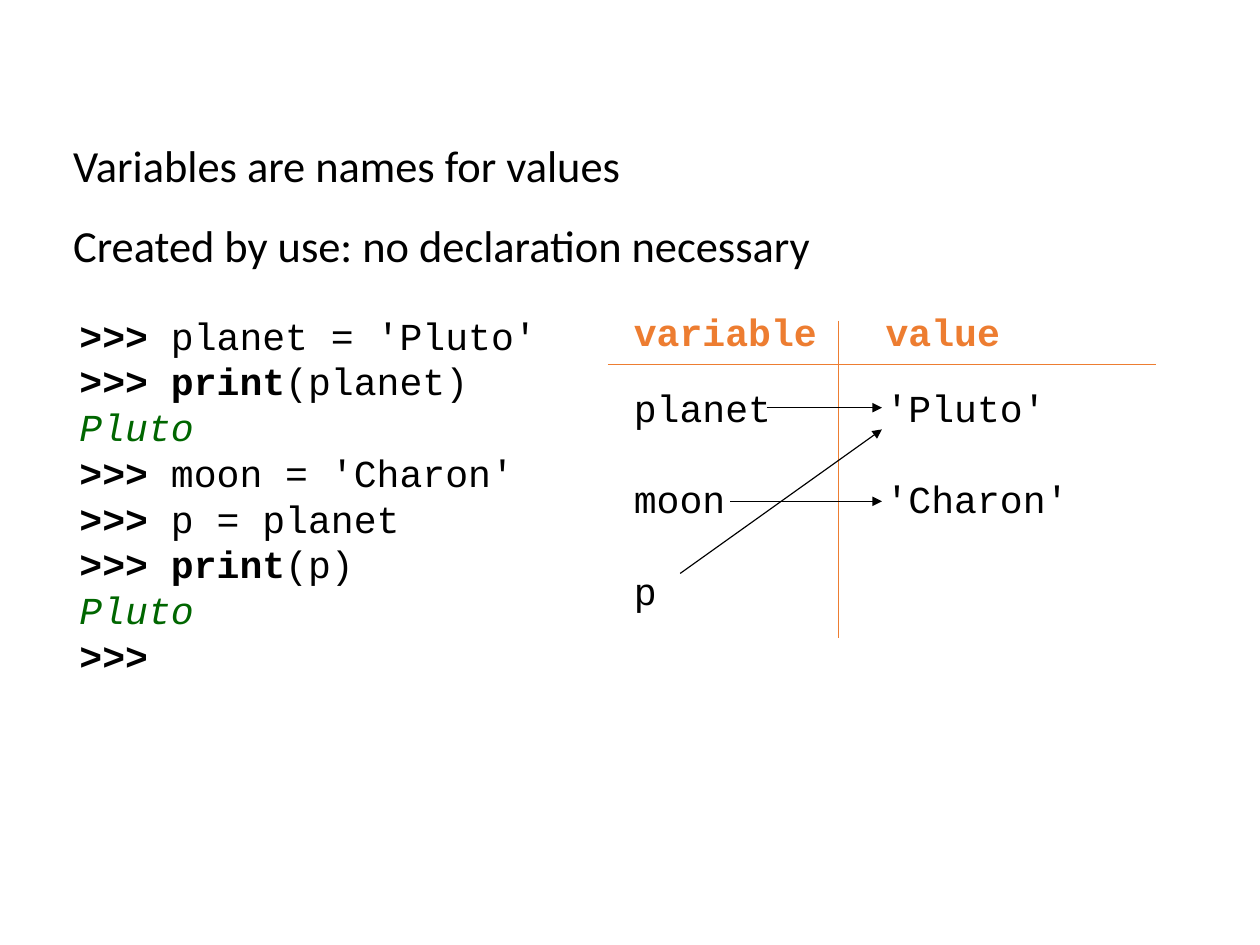
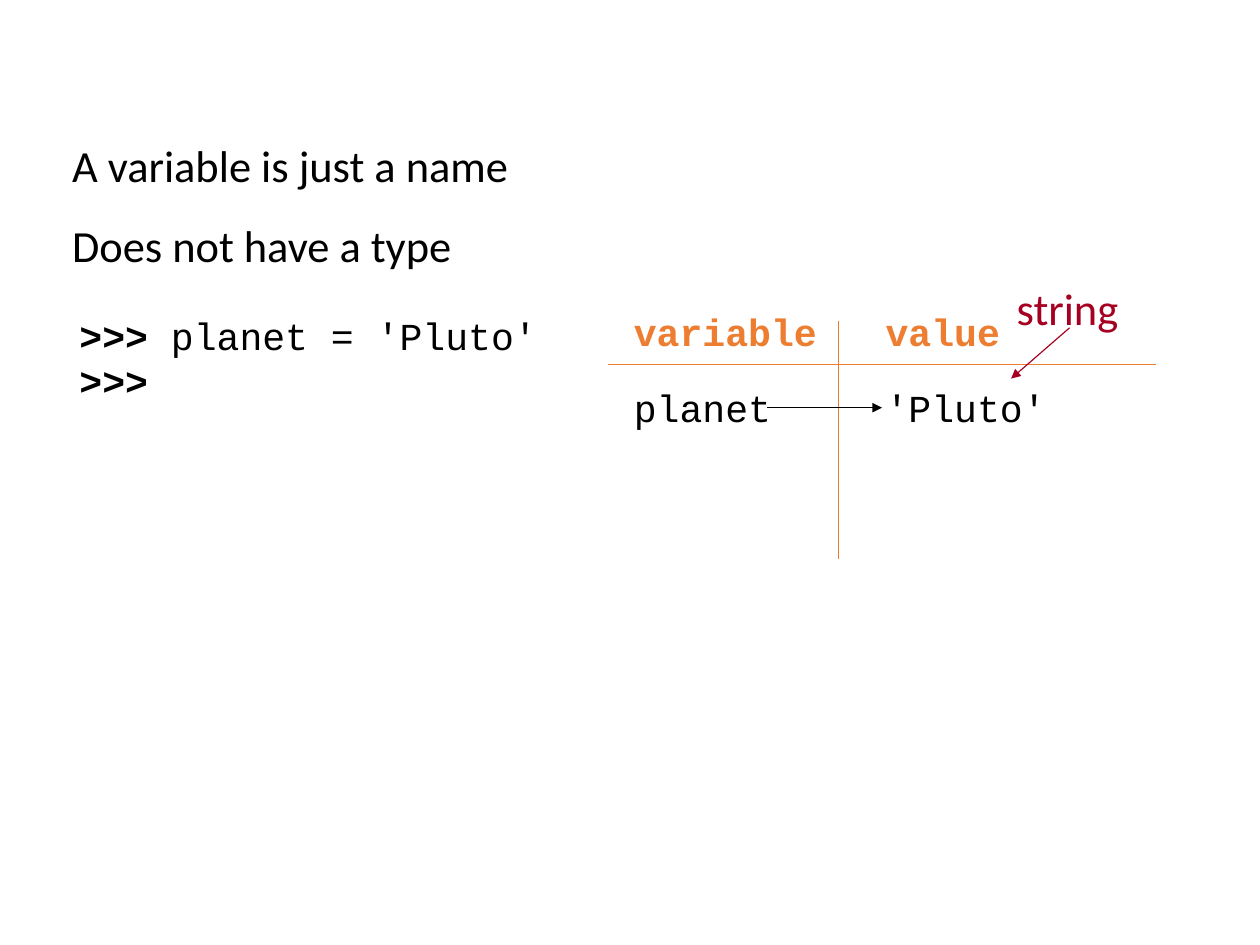
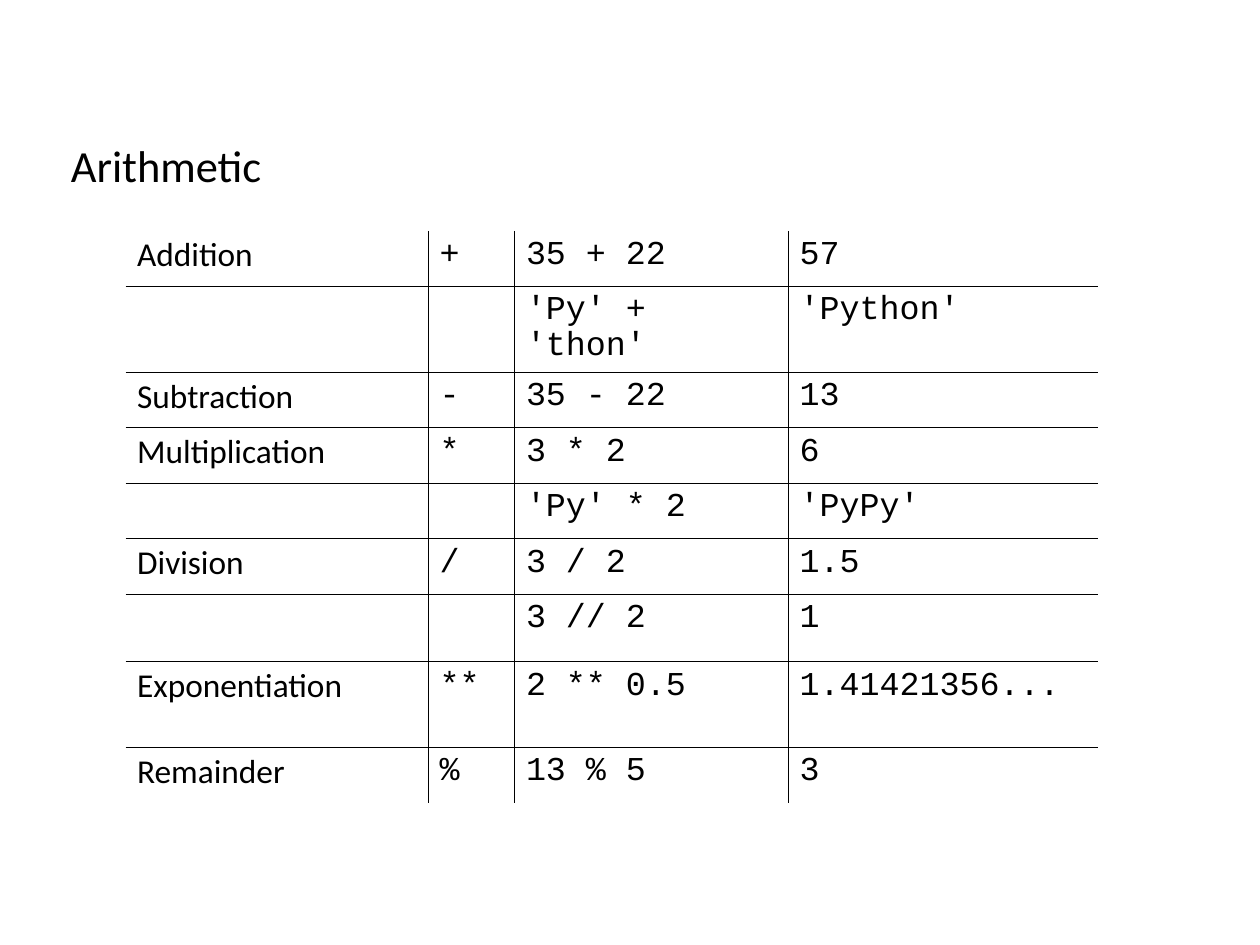
from pptx import Presentation, util as u
from pptx.dml.color import RGBColor
from pptx.enum import shapes, text
from pptx.oxml import parse_xml
from pptx.oxml.ns import nsdecls

Pt = u.Pt
BLACK, ORANGE, GREEN, RED = "000000", "ED7D31", "006600", "A50021"
CODE = {"name": "Courier New", "size": Pt(24), "color": BLACK}
NOTE = {"name": "Calibri", "size": Pt(28), "color": BLACK}
STYLES = {
    "note": NOTE,
    "tag": {**NOTE, "color": RED},
    "code": CODE,
    "key": {**CODE, "bold": True},
    "out": {**CODE, "italic": True, "color": GREEN},
    "head": {**CODE, "bold": True, "color": ORANGE},
    "label": {**NOTE, "size": Pt(21)},
    "cell": {**CODE, "size": Pt(21)},
}
PITCH = Pt(28.8)


def paint(value):
    return RGBColor.from_string(value)


class Deck:
    def __init__(self, wide, high):
        self.prs = Presentation()
        self.prs.slide_width, self.prs.slide_height = Pt(wide), Pt(high)
        self.slide = None

    def page(self):
        self.slide = self.prs.slides.add_slide(self.prs.slide_layouts[6])

    def run(self, para, words, style):
        run = para.add_run()
        run.text = words
        for key, value in STYLES[style].items():
            if key == "color":
                run.font.color.rgb = paint(value)
            else:
                setattr(run.font, key, value)

    def text(self, x, y, w, h, lines, pitch, gap=0):
        """Add a text box; each line is a list of (words, style) pairs."""
        frame = self.slide.shapes.add_textbox(Pt(x), Pt(y), Pt(w), Pt(h)).text_frame
        frame.word_wrap = True
        frame.auto_size = text.MSO_AUTO_SIZE.NONE
        for i, line in enumerate(lines):
            para = frame.add_paragraph() if i else frame.paragraphs[0]
            para.line_spacing = pitch
            if i and gap:
                para.space_before = gap
            for words, style in line:
                self.run(para, words, style)

    def notes(self, x, y, w, lines, style="note"):
        self.text(x, y, w, 7 + 50.5 * len(lines), [[(line, style)] for line in lines], 1.5)

    def code(self, lines):
        self.text(43, 193, 304, 231, lines, PITCH)

    def line(self, x1, y1, x2, y2, color=BLACK, arrow=False):
        link = self.slide.shapes.add_connector(
            shapes.MSO_CONNECTOR.STRAIGHT, Pt(x1), Pt(y1), Pt(x2), Pt(y2))
        link.line.color.rgb = paint(color)
        link.line.width = Pt(0.75)
        if arrow:
            link.line._get_or_add_ln().append(
                parse_xml(f'<a:tailEnd {nsdecls("a")} type="triangle"/>'))
        link._element.spPr.append(parse_xml(f'<a:effectLst {nsdecls("a")}/>'))

    def memory(self, names, values, foot):
        """Draw the two columns that pair variables with values."""
        self.line(383, 229.5, 728, 229.5, ORANGE)
        self.line(528.2, 202, 528.2, foot, ORANGE)
        for x, head, items in ((392.2, "variable", names), (550.8, "value", values)):
            self.text(x, 193.2, 134, 36, [[(head, "head")]], 0.93)
            self.text(x, 238.6, 134, 150, [[(item, "code")] for item in items], PITCH, PITCH)

    def edges(self, cell, inner):
        """Rule the sides that lie inside the table and clear the rest."""
        props = cell._tc.get_or_add_tcPr()
        for side, shown in inner.items():
            fill = f'<a:solidFill><a:srgbClr val="{BLACK}"/></a:solidFill>' if shown else "<a:noFill/>"
            props.append(parse_xml(f'<a:ln{side} {nsdecls("a")} w="{Pt(0.45)}">{fill}</a:ln{side}>'))
        cell.fill.background()

    def table(self, x, y, cols, rows, data):
        grid = self.slide.shapes.add_table(
            len(rows), len(cols), Pt(x), Pt(y), Pt(sum(cols)), Pt(sum(rows))).table
        grid.first_row = grid.horz_banding = False
        for col, size in zip(grid.columns, cols):
            col.width = Pt(size)
        for row, size in zip(grid.rows, rows):
            row.height = Pt(size)
        for r, row in enumerate(data):
            for c, words in enumerate(row):
                cell = grid.cell(r, c)
                self.edges(cell, {"L": c > 0, "R": c < len(cols) - 1,
                                  "T": r > 0, "B": r < len(rows) - 1})
                if words:
                    para = cell.text_frame.paragraphs[0]
                    para.line_spacing = 0.93
                    self.run(para, words, "cell" if c else "label")


def show(name):
    return [(">>> print", "key"), (f"({name})", "code")]


def bind(words):
    return [(">>>", "key"), (f" {words}", "code")]


def main():
    deck = Deck(793.75, 595.25)
    start, ready, pluto = bind("planet = 'Pluto'"), [(">>>", "key")], [("Pluto", "out")]
    first = (483, 256.8, 555.6, 256.8)

    deck.page()
    deck.notes(39, 66.4, 552, ["Variables are names for values",
                               "Created by use: no declaration necessary"])
    deck.code([start, show("planet"), pluto, bind("moon = 'Charon'"),
               bind("p = planet"), show("p"), pluto, ready])
    deck.memory(["planet", "moon", "p"], ["'Pluto'", "'Charon'"], 401.6)
    for ends in (first, (460.2, 315.8, 555.6, 315.8), (428.5, 361.2, 555.6, 270.5)):
        deck.line(*ends, arrow=True)

    deck.page()
    deck.notes(38.4, 66.4, 361, ["A variable is just a name", "Does not have a type"])
    deck.code([start, ready])
    deck.memory(["planet"], ["'Pluto'"], 352)
    deck.line(*first, arrow=True)
    deck.notes(633.4, 157, 150, ["string"], "tag")
    deck.line(673.8, 206.5, 637, 238.5, RED, arrow=True)

    deck.page()
    deck.notes(37.6, 66.4, 206, ["Arithmetic"])
    deck.table(79.2, 145.4, [190.6, 54.4, 172.4, 195],
               [35, 54, 35, 35, 35, 35, 42.4, 54, 35], [
        ("Addition", "+", "35 + 22", "57"),
        ("", "", "'Py' + 'thon'", "'Python'"),
        ("Subtraction", "-", "35 - 22", "13"),
        ("Multiplication", "*", "3 * 2", "6"),
        ("", "", "'Py' * 2", "'PyPy'"),
        ("Division", "/", "3 / 2", "1.5"),
        ("", "", "3 // 2", "1"),
        ("Exponentiation", "**", "2 ** 0.5", "1.41421356..."),
        ("Remainder", "%", "13 % 5", "3"),
    ])
    deck.prs.save("out.pptx")


if __name__ == "__main__":
    main()
